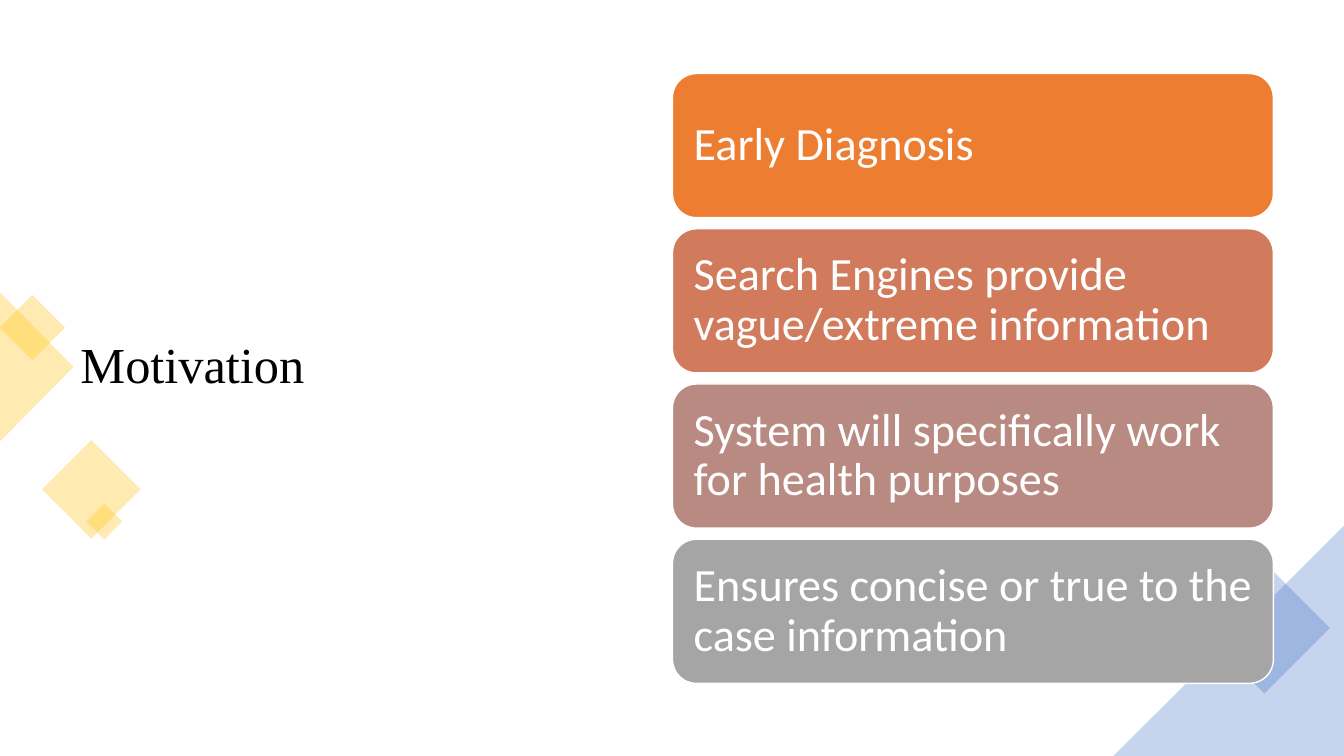
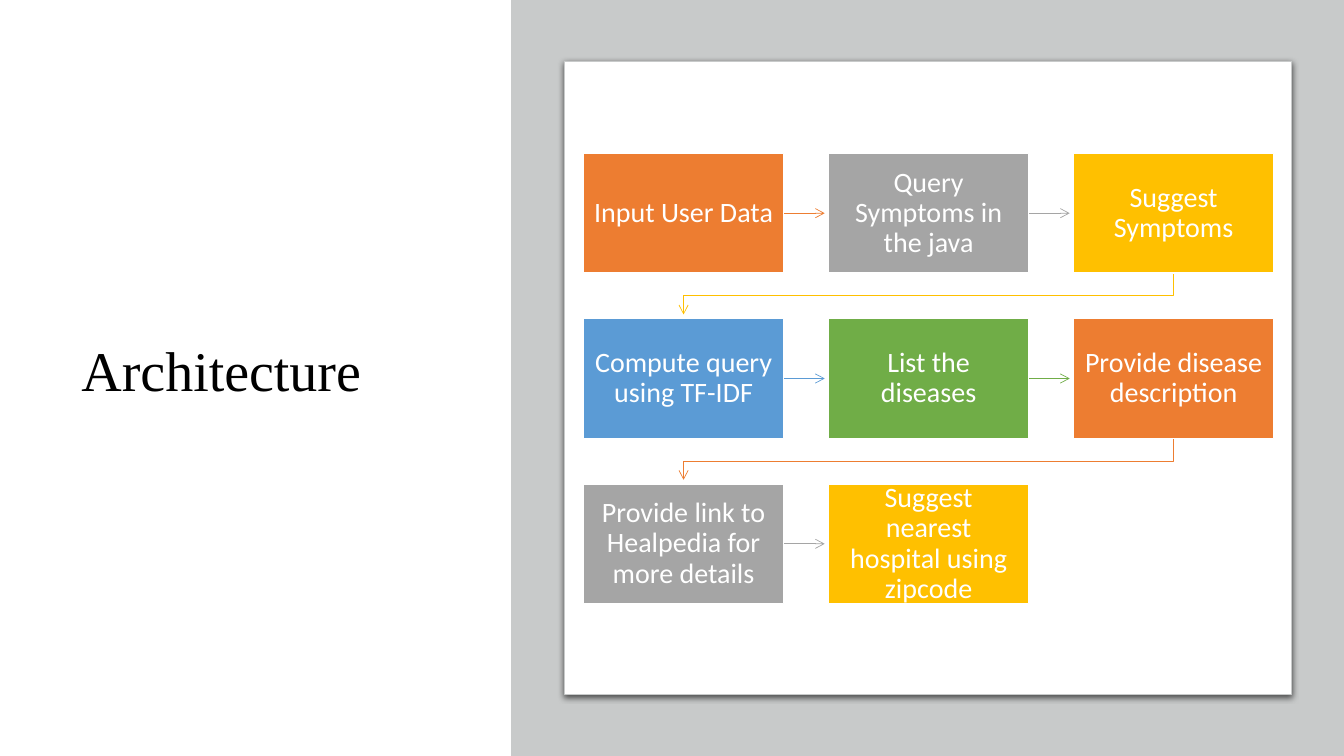
from dataclasses import dataclass
from typing import Optional

from lxml.etree import SubElement
from pptx import Presentation
from pptx.dml.color import RGBColor
from pptx.enum.shapes import MSO_CONNECTOR as CONN, MSO_SHAPE as SHAPE
from pptx.enum.text import MSO_ANCHOR as ANCHOR, PP_ALIGN as ALIGN
from pptx.oxml.ns import qn
from pptx.shapes.autoshape import Shape
from pptx.slide import Slide
from pptx.text.text import TextFrame
from pptx.util import Inches, Pt


@dataclass(frozen=True)
class Theme:
    white: str = "FFFFFF"
    black: str = "000000"
    orange: str = "ED7D31"
    terracotta: str = "D17B5C"
    rose: str = "B98A82"
    gray: str = "A5A5A5"
    gold: str = "FFC000"
    sky: str = "5B9BD5"
    green: str = "70AD47"
    navy: str = "4472C4"
    backdrop: str = "C8CACA"
    title_font: str = "Times New Roman"
    body_font: str = "Calibri"
    motivation_title: float = 36
    architecture_title: float = 40
    reason_size: float = 33
    step_size: float = 20
    border: float = 1
    panel_border: float = 0.75
    arrow: float = 0.5
    accent_alpha: int = 30
    shadow_alpha: int = 63


@dataclass(frozen=True)
class Box:
    left: float
    top: float
    width: float
    height: float

    @property
    def right(self) -> float:
        return self.left + self.width

    @property
    def bottom(self) -> float:
        return self.top + self.height

    @property
    def center_x(self) -> float:
        return self.left + self.width / 2

    @property
    def center_y(self) -> float:
        return self.top + self.height / 2

    def emu(self) -> list[int]:
        return [Inches(v) for v in (self.left, self.top, self.width, self.height)]


@dataclass(frozen=True)
class Accent:
    box: Box
    color: str
    kind: SHAPE = SHAPE.RECTANGLE
    rotation: float = 45


@dataclass(frozen=True)
class Card:
    text: str
    color: str


T = Theme()
SLIDE_W, SLIDE_H = 13.33, 7.5

ACCENTS = [
    Accent(Box(0.09, 3.02, 0.46, 0.46), T.gold),
    Accent(Box(0.56, 4.51, 0.69, 0.69), T.gold),
    Accent(Box(0.91, 5.05, 0.25, 0.25), T.gold),
    Accent(Box(11.13, 6.12, 3.26, 1.62), T.navy, SHAPE.ISOSCELES_TRIANGLE, 135),
    Accent(Box(12.08, 5.77, 0.92, 0.92), T.navy),
]
EDGE_TRIANGLE = [(0, 2.9), (0.73, 3.64), (0, 4.38)]

REASONS = [
    Card("Early Diagnosis", T.orange),
    Card("Search Engines provide vague/extreme information", T.terracotta),
    Card("System will specifically work for health purposes", T.rose),
    Card("Ensures concise or true to the case information", T.gray),
]
FIRST_REASON = Box(6.67, 0.73, 5.96, 1.43)
REASON_PITCH = 1.54

STEPS = [
    Card("Input User Data", T.orange),
    Card("Query Symptoms in the java", T.gray),
    Card("Suggest Symptoms", T.gold),
    Card("Compute query using TF-IDF", T.sky),
    Card("List the diseases", T.green),
    Card("Provide disease description", T.orange),
    Card("Provide link to Healpedia for more details", T.gray),
    Card("Suggest nearest hospital using zipcode", T.gold),
]
FIRST_STEP = Box(5.79, 1.52, 1.98, 1.19)
COLUMNS = 3
COLUMN_PITCH, ROW_PITCH = 2.43, 1.64
ARROW_GAP = 0.04


def rgb(color: str) -> RGBColor:
    return RGBColor.from_string(color)


def paint(sp: Shape, color: str, line: Optional[str] = None,
          width: float = T.border, alpha: Optional[int] = None) -> None:
    sp.shadow.inherit = False
    sp.fill.solid()
    sp.fill.fore_color.rgb = rgb(color)
    if alpha is not None:
        clr = sp._element.spPr.find(qn("a:solidFill"))[0]
        SubElement(clr, qn("a:alpha"), val=str(alpha * 1000))
    if line:
        sp.line.color.rgb = rgb(line)
        sp.line.width = Pt(width)
    else:
        sp.line.fill.background()


def write(tf: TextFrame, text: str, size: float, font: str, color: str,
          align: ALIGN = ALIGN.LEFT, inset: float = 0.1) -> None:
    tf.word_wrap = True
    tf.vertical_anchor = ANCHOR.MIDDLE
    tf.margin_left = tf.margin_right = Inches(inset)
    tf.margin_top = tf.margin_bottom = Inches(inset)
    p = tf.paragraphs[0]
    p.text = text
    p.alignment = align
    p.line_spacing = 0.9
    p.font.size = Pt(size)
    p.font.name = font
    p.font.color.rgb = rgb(color)


def add_title(s: Slide, text: str, box: Box, size: float) -> None:
    tf = s.shapes.add_textbox(*box.emu()).text_frame
    write(tf, text, size, T.title_font, T.black)


def add_card(s: Slide, card: Card, box: Box, kind: SHAPE, size: float,
             align: ALIGN, inset: float) -> None:
    sp = s.shapes.add_shape(kind, *box.emu())
    paint(sp, card.color, T.white)
    write(sp.text_frame, card.text, size, T.body_font, T.white, align, inset)


def add_outline(s: Slide, points: list[tuple[float, float]], close: bool) -> Shape:
    start, *rest = [(Inches(x), Inches(y)) for x, y in points]
    builder = s.shapes.build_freeform(*start)
    builder.add_line_segments(rest, close=close)
    return builder.convert_to_shape()


def add_arrow(s: Slide, points: list[tuple[float, float]], color: str) -> None:
    if len(points) == 2:
        ends = [Inches(v) for point in points for v in point]
        sp = s.shapes.add_connector(CONN.STRAIGHT, *ends)
    else:
        sp = add_outline(s, points, close=False)
        sp.fill.background()
    sp.line.color.rgb = rgb(color)
    sp.line.width = Pt(T.arrow)
    SubElement(sp.line._get_or_add_ln(), qn("a:tailEnd"), type="arrow")
    SubElement(sp._element.spPr, qn("a:effectLst"))


def add_panel(s: Slide, box: Box) -> None:
    sp = s.shapes.add_shape(SHAPE.ROUNDED_RECTANGLE, *box.emu())
    sp.adjustments[0] = 0
    paint(sp, T.white, T.backdrop, T.panel_border)
    effects = sp._element.spPr.find(qn("a:effectLst"))
    shadow = SubElement(effects, qn("a:outerShdw"), blurRad=str(Pt(4.5)),
                        dist=str(Pt(1.5)), dir="5400000", rotWithShape="0")
    clr = SubElement(shadow, qn("a:srgbClr"), val=T.black)
    SubElement(clr, qn("a:alpha"), val=str(T.shadow_alpha * 1000))


def step_box(index: int) -> Box:
    row, column = divmod(index, COLUMNS)
    return Box(FIRST_STEP.left + column * COLUMN_PITCH,
               FIRST_STEP.top + row * ROW_PITCH,
               FIRST_STEP.width, FIRST_STEP.height)


def step_route(a: Box, b: Box) -> list[tuple[float, float]]:
    if a.top == b.top:
        return [(a.right, a.center_y), (b.left - ARROW_GAP, b.center_y)]
    turn = (a.bottom + b.top) / 2
    return [(a.center_x, a.bottom), (a.center_x, turn),
            (b.center_x, turn), (b.center_x, b.top - ARROW_GAP)]


def build_motivation(s: Slide) -> None:
    add_title(s, "Motivation", Box(0.7, 0.68, 5.46, 5.92), T.motivation_title)
    paint(add_outline(s, EDGE_TRIANGLE, close=True), T.gold, alpha=T.accent_alpha)
    for accent in ACCENTS:
        sp = s.shapes.add_shape(accent.kind, *accent.box.emu())
        sp.rotation = accent.rotation
        paint(sp, accent.color, alpha=T.accent_alpha)
    for i, reason in enumerate(REASONS):
        box = Box(FIRST_REASON.left, FIRST_REASON.top + i * REASON_PITCH,
                  FIRST_REASON.width, FIRST_REASON.height)
        add_card(s, reason, box, SHAPE.ROUNDED_RECTANGLE, T.reason_size,
                 ALIGN.LEFT, 0.14)


def build_architecture(s: Slide) -> None:
    add_title(s, "Architecture", Box(0.71, 0.69, 4.01, 6.02), T.architecture_title)
    backdrop = Box(5.07, 0, SLIDE_W - 5.07, SLIDE_H)
    paint(s.shapes.add_shape(SHAPE.RECTANGLE, *backdrop.emu()), T.backdrop)
    add_panel(s, Box(5.6, 0.61, 7.21, 6.28))
    for i, step in enumerate(STEPS):
        if i + 1 < len(STEPS):
            add_arrow(s, step_route(step_box(i), step_box(i + 1)), step.color)
        add_card(s, step, step_box(i), SHAPE.RECTANGLE, T.step_size,
                 ALIGN.CENTER, 0.1)


prs = Presentation()
prs.slide_width, prs.slide_height = Inches(SLIDE_W), Inches(SLIDE_H)
for build in (build_motivation, build_architecture):
    build(prs.slides.add_slide(prs.slide_layouts[6]))
prs.save("out.pptx")
